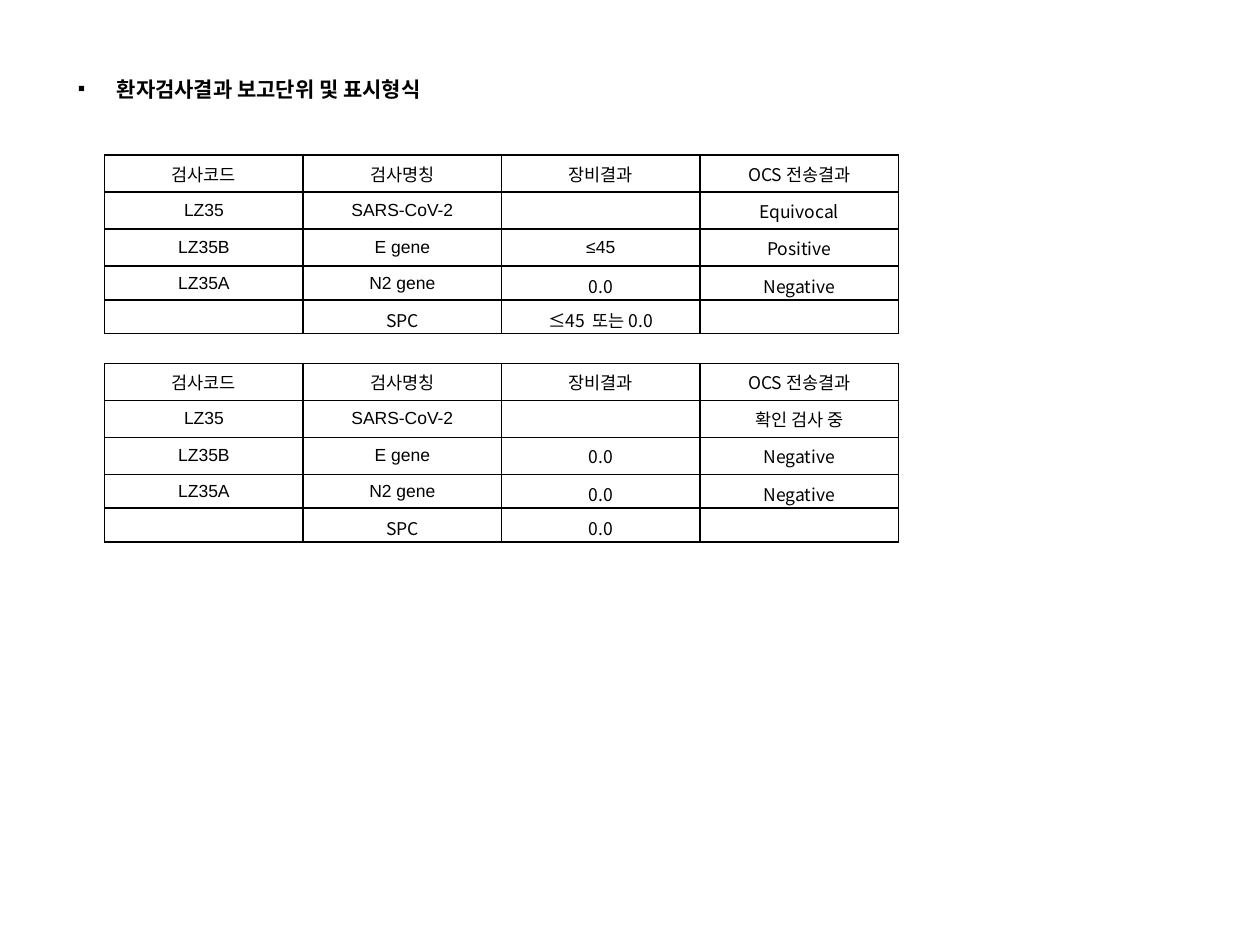
from pptx import Presentation
from pptx.dml.color import RGBColor
from pptx.enum.text import MSO_ANCHOR, PP_ALIGN
from pptx.util import Pt
from lxml.etree import SubElement
from pptx.oxml.ns import qn

COLORS = {"ink": "000000", "paper": "FFFFFF"}
LATIN = "Arial"
KOREAN = "Noto Sans CJK KR"
TABLE_LEFT, COLUMN_WIDTH = 59.8, 113.4
ROW_HEIGHTS = [21.2, 21.2, 21.2, 19.3, 19.3]
HEADER = ["검사코드", "검사명칭", "장비결과", "OCS 전송결과"]
FIRST_RESULTS = [
    HEADER,
    ["LZ35", "SARS-CoV-2", "", "Equivocal"],
    ["LZ35B", "E gene", "≤45", "Positive"],
    ["LZ35A", "N2 gene", "0.0", "Negative"],
    ["", "SPC", "≤45  또는 0.0", ""],
]
SECOND_RESULTS = [
    HEADER,
    ["LZ35", "SARS-CoV-2", "", "확인 검사 중"],
    ["LZ35B", "E gene", "0.0", "Negative"],
    ["LZ35A", "N2 gene", "0.0", "Negative"],
    ["", "SPC", "0.0", ""],
]
LATIN_TEXTS = {"LZ35", "LZ35A", "LZ35B", "SARS-CoV-2", "E gene", "N2 gene", "≤45"}


def add_span(para, text, size, font, bold=False):
    """Add one run, with a Korean font for its Hangul."""
    span = para.add_run()
    span.text = text
    span.font.size = Pt(size)
    span.font.name = font
    span.font.bold = bold
    span.font.color.rgb = RGBColor.from_string(COLORS["ink"])
    SubElement(span._r.get_or_add_rPr(), qn("a:ea"), typeface=KOREAN)


def add_heading(page, text):
    """Add the bulleted heading."""
    box = page.shapes.add_textbox(Pt(37.4), Pt(21.6), Pt(652.3), Pt(72.7))
    frame = box.text_frame
    frame.word_wrap = True
    frame.margin_top = Pt(14.7)
    para = frame.paragraphs[0]
    para.line_spacing = 1.5
    properties = para._p.get_or_add_pPr()
    properties.set("marL", str(Pt(22.3)))
    properties.set("indent", str(-Pt(22.3)))
    SubElement(properties, qn("a:buFont"), typeface=LATIN)
    SubElement(properties, qn("a:buChar"), char="▪")
    add_span(para, text, 12, LATIN, bold=True)


def set_borders(cell):
    """Draw a one-point line on every side of a cell."""
    properties = cell._tc.get_or_add_tcPr()
    for position, side in enumerate(("lnL", "lnR", "lnT", "lnB")):
        line = SubElement(properties, qn("a:" + side), w=str(Pt(1)))
        fill = SubElement(line, qn("a:solidFill"))
        SubElement(fill, qn("a:srgbClr"), val=COLORS["ink"])
        properties.insert(position, line)


def fill_cell(cell, text, short):
    """Write and format one centred cell; Korean type sits lower in short rows."""
    font = LATIN if text in LATIN_TEXTS else KOREAN
    cell.fill.solid()
    cell.fill.fore_color.rgb = RGBColor.from_string(COLORS["paper"])
    cell.vertical_anchor = MSO_ANCHOR.MIDDLE
    cell.margin_top = Pt(3.4 if short and font == KOREAN else 0)
    cell.margin_bottom = Pt(0)
    set_borders(cell)
    para = cell.text_frame.paragraphs[0]
    para.alignment = PP_ALIGN.CENTER
    if text:
        add_span(para, text, 10, font)
    else:
        SubElement(para._p, qn("a:endParaRPr"), sz="1000")


def add_results(page, top, rows):
    """Add one table of test results."""
    columns = len(HEADER)
    table = page.shapes.add_table(
        len(rows), columns, Pt(TABLE_LEFT), Pt(top),
        Pt(columns * COLUMN_WIDTH), Pt(sum(ROW_HEIGHTS))).table
    table.first_row = False
    table.horz_banding = False
    for column in table.columns:
        column.width = Pt(COLUMN_WIDTH)
    for index, (height, texts) in enumerate(zip(ROW_HEIGHTS, rows)):
        table.rows[index].height = Pt(height)
        for cell, text in zip(table.rows[index].cells, texts):
            fill_cell(cell, text, height < ROW_HEIGHTS[0])


def main():
    """Build and save the slide."""
    deck = Presentation()
    deck.slide_width, deck.slide_height = Pt(720), Pt(540)
    page = deck.slides.add_slide(deck.slide_layouts[6])
    add_heading(page, "환자검사결과 보고단위 및 표시형식")
    add_results(page, 88.6, FIRST_RESULTS)
    add_results(page, 207.6, SECOND_RESULTS)
    deck.save("out.pptx")


main()
